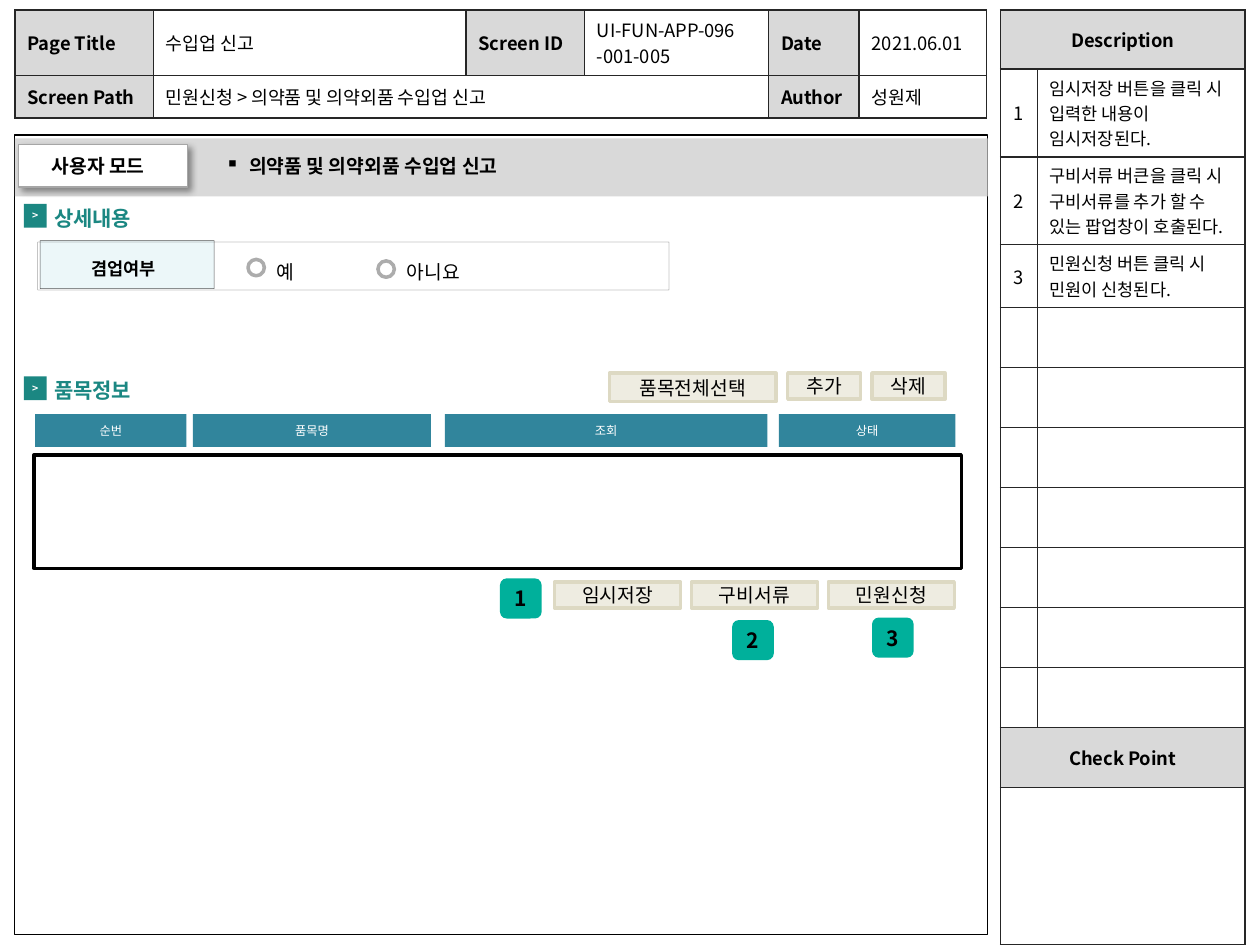
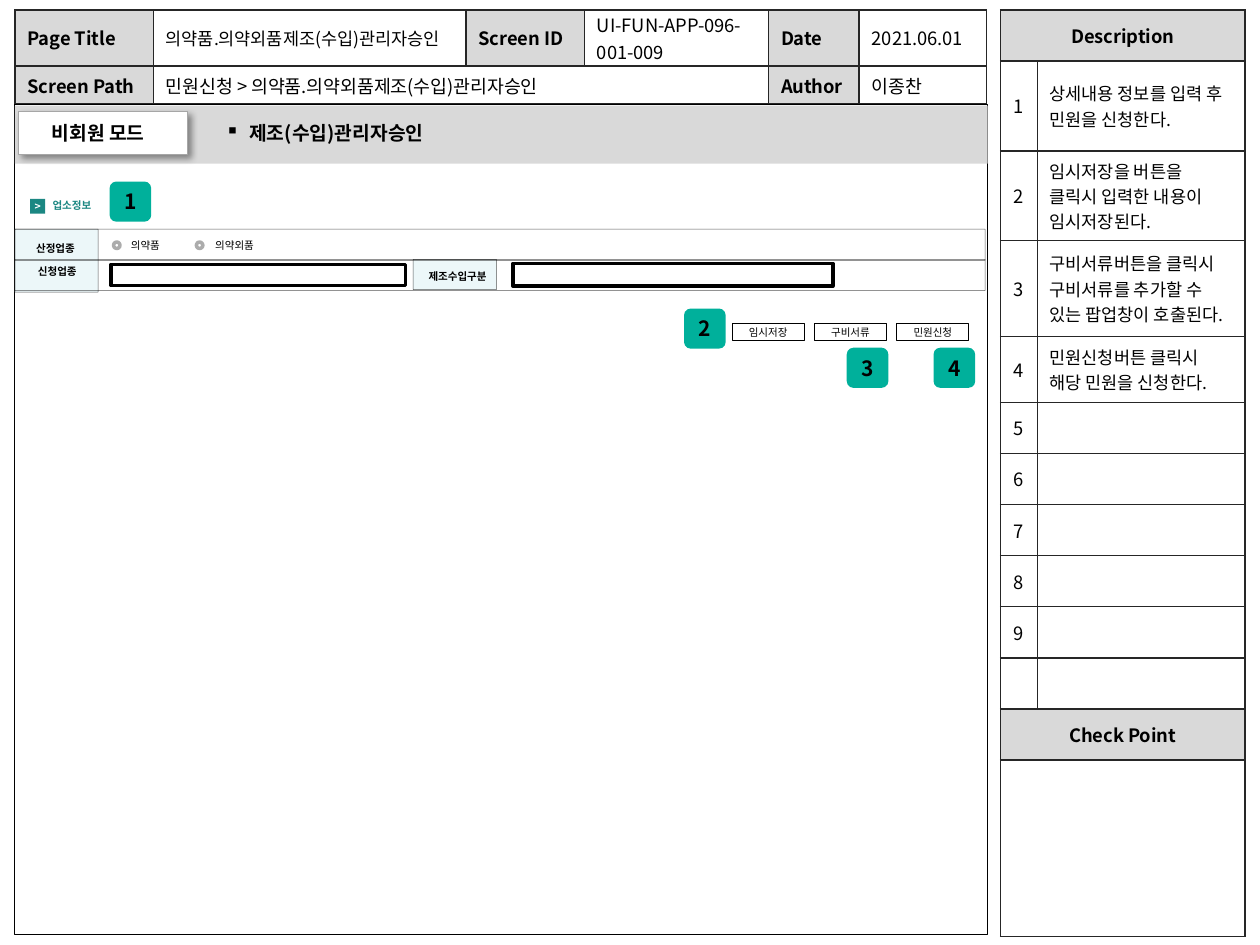
"""Build two screen-specification slides for an import business filing system."""
import pptx
import pptx.dml.color
import pptx.enum.shapes
import pptx.enum.text
import pptx.oxml
import pptx.oxml.ns
import pptx.util
import lxml.etree

Cm = pptx.util.Cm
Pt = pptx.util.Pt
SHAPE = pptx.enum.shapes.MSO_SHAPE
ANCHOR = pptx.enum.text.MSO_ANCHOR
ALIGN = pptx.enum.text.PP_ALIGN
qn = pptx.oxml.ns.qn

FONT = "Noto Sans CJK KR"
BLACK, WHITE, GREY, BORDER = "000000", "FFFFFF", "D9D9D9", "262626"
TEAL, BADGE, LABEL, RADIO = "1B8782", "00B09B", "ECF7F9", "A6A6A6"
BUTTON, BUTTON_EDGE, COLUMN = "EEECE1", "DDD9C3", "31859C"


def write(frame, text, size, bold=False, colour=BLACK, align=ALIGN.LEFT):
    """Fill a text frame and format its runs."""
    frame.text = text
    frame.word_wrap = True
    for para in frame.paragraphs:
        para.alignment = align
        for span in para.runs:
            span.font.size = Pt(size)
            span.font.bold = bold
            span.font.name = FONT
            span.font.color.rgb = pptx.dml.color.RGBColor.from_string(colour)
            asian = lxml.etree.SubElement(span.font._element, qn("a:ea"))
            asian.set("typeface", FONT)


def draw(page, kind, left, top, width, height, fill=None, line=None, weight=0.75,
         alpha=100, text="", size=11, bold=False, colour=BLACK):
    """Add a preset shape with optional fill, outline and centred text."""
    shape = page.shapes.add_shape(kind, Cm(left), Cm(top), Cm(width), Cm(height))
    shape.shadow.inherit = False
    if fill:
        shape.fill.solid()
        shape.fill.fore_color.rgb = pptx.dml.color.RGBColor.from_string(fill)
    else:
        shape.fill.background()
    if line:
        shape.line.color.rgb = pptx.dml.color.RGBColor.from_string(line)
        shape.line.width = Pt(weight)
        if alpha < 100:
            tint = shape.line._ln.find(".//" + qn("a:srgbClr"))
            lxml.etree.SubElement(tint, qn("a:alpha")).set("val", str(alpha * 1000))
    else:
        shape.line.fill.background()
    if text:
        frame = shape.text_frame
        frame.margin_left = frame.margin_right = frame.margin_top = frame.margin_bottom = 0
        frame.vertical_anchor = ANCHOR.MIDDLE
        write(frame, text, size, bold, colour, ALIGN.CENTER)
    return shape


deck = pptx.Presentation()
deck.slide_width, deck.slide_height = Cm(25.4), Cm(19.05)

screens = [
    {
        "header": [
            ["Page Title", "수입업 신고", "Screen ID", "UI-FUN-APP-096\n-001-005", "Date", "2021.06.01"],
            ["Screen Path", "민원신청 > 의약품 및 의약외품 수입업 신고", "", "", "Author", "성원제"],
        ],
        "header_rows": [1.32, 0.86],
        "title_size": 10.5,
        "notes": [
            ("1", "임시저장 버튼을 클릭 시 입력한 내용이 임시저장된다."),
            ("2", "구비서류 버큰을 클릭 시 구비서류를 추가 할 수 있는 팝업창이 호출된다."),
            ("3", "민원신청 버튼 클릭 시 민원이 신청된다."),
        ] + [("", "")] * 7,
        "note_rows": [1.19, 1.77, 1.77, 1.27] + [1.21] * 8 + [3.17],
        "frame_top": 2.72,
        "band_top": 2.79,
        "mode": "사용자 모드",
        "title": "의약품 및 의약외품 수입업 신고",
        "badges": [(10.08, 11.66), (14.76, 12.5), (17.58, 12.45)],
    },
    {
        "header": [
            ["Page Title", "의약품.의약외품제조(수입)관리자승인", "Screen ID", "UI-FUN-APP-096-001-009", "Date", "2021.06.01"],
            ["Screen Path", "민원신청 > 의약품.의약외품제조(수입)관리자승인", "", "", "Author", "이종찬"],
        ],
        "header_rows": [1.13, 0.77],
        "title_size": 10,
        "notes": [
            ("1", "상세내용 정보를 입력 후 민원을 신청한다."),
            ("2", "임시저장을 버튼을 클릭시 입력한 내용이 임시저장된다."),
            ("3", "구비서류버튼을 클릭시 구비서류를 추가할 수 있는 팝업창이 호출된다."),
            ("4", "민원신청버튼 클릭시 해당 민원을 신청한다."),
        ] + [(str(number), "") for number in range(5, 10)] + [("", "")],
        "note_rows": [1.03, 1.81, 1.81, 1.93, 1.33] + [1.03] * 7 + [3.56],
        "frame_top": 2.11,
        "band_top": 2.13,
        "mode": "비회원 모드",
        "title": "제조(수입)관리자승인",
        "badges": [(2.21, 3.66), (13.79, 6.22), (17.07, 7.01), (18.82, 7.01)],
    },
]

pages = []
for screen in screens:
    page = deck.slides.add_slide(deck.slide_layouts[5])
    pages.append(page)

    note_cells = [("Description", "")] + screen["notes"] + [("Check Point", ""), ("", "")]
    grids = [
        (0.3, 0.2, [2.79, 6.3, 2.39, 3.71, 1.83, 2.57], screen["header_rows"], screen["header"]),
        (20.17, 0.2, [0.74, 4.19], screen["note_rows"], note_cells),
    ]
    for left, top, columns, rows, cells in grids:
        is_header = len(columns) == 6
        table = page.shapes.add_table(len(rows), len(columns), Cm(left), Cm(top),
                                      Cm(sum(columns)), Cm(sum(rows))).table
        for index, width in enumerate(columns):
            table.columns[index].width = Cm(width)
        for index, height in enumerate(rows):
            table.rows[index].height = Cm(height)
        if is_header:
            table.cell(1, 1).merge(table.cell(1, 3))
        else:
            for row in (0, len(rows) - 2, len(rows) - 1):
                table.cell(row, 0).merge(table.cell(row, 1))
        for row, texts in enumerate(cells):
            for column, text in enumerate(texts):
                cell = table.cell(row, column)
                cell.vertical_anchor = ANCHOR.MIDDLE
                cell.margin_top = cell.margin_bottom = 0
                for side in ("lnL", "lnR", "lnT", "lnB"):
                    edge = lxml.etree.SubElement(cell._tc.get_or_add_tcPr(), qn("a:" + side), w=str(Pt(1)))
                    paint = lxml.etree.SubElement(edge, qn("a:solidFill"))
                    lxml.etree.SubElement(paint, qn("a:srgbClr"), val=BORDER)
                if is_header:
                    heading = column % 2 == 0 and text != ""
                    size = screen["title_size"] if (row, column) == (0, 1) else 10.5
                else:
                    heading = text in ("Description", "Check Point")
                    size = 10 if column == 1 else 10.5
                if heading:
                    cell.fill.solid()
                    cell.fill.fore_color.rgb = pptx.dml.color.RGBColor.from_string(GREY)
                else:
                    cell.fill.background()
                if text:
                    centred = heading and not is_header
                    write(cell.text_frame, text, size, heading,
                          align=ALIGN.CENTER if centred else ALIGN.LEFT)

    draw(page, SHAPE.RECTANGLE, 0.3, screen["frame_top"], 19.61, 18.84 - screen["frame_top"], line=BLACK)
    band_top = screen["band_top"]
    band = draw(page, SHAPE.RECTANGLE, 0.3, band_top, 19.61, 1.17, GREY)

    title = page.shapes.title
    band.element.addnext(title.element)
    title.left, title.top, title.width, title.height = Cm(4.29), Cm(band_top + 0.19), Cm(9.2), Cm(0.74)
    title.text_frame.auto_size = pptx.enum.text.MSO_AUTO_SIZE.NONE
    title.text_frame.vertical_anchor = ANCHOR.TOP
    write(title.text_frame, screen["title"], 11, True)
    layout = title.text_frame.paragraphs[0]._p.get_or_add_pPr()
    layout.set("marL", str(Cm(0.48)))
    layout.set("indent", str(-Cm(0.48)))
    lxml.etree.SubElement(layout, qn("a:buChar")).set("char", "▪")

    mode = draw(page, SHAPE.RECTANGLE, 0.38, band_top + 0.12, 3.4, 0.86, WHITE, RADIO)
    effects = mode.element.spPr.find(qn("a:effectLst"))
    shadow = lxml.etree.SubElement(effects, qn("a:outerShdw"), blurRad=str(Pt(4)), dist=str(Pt(3)),
                                   dir="2700000", algn="tl", rotWithShape="0")
    tint = lxml.etree.SubElement(shadow, qn("a:srgbClr"), val=BLACK)
    lxml.etree.SubElement(tint, qn("a:alpha"), val="40000")
    box = page.shapes.add_textbox(Cm(0.79), Cm(band_top + 0.19), Cm(2.8), Cm(0.74))
    write(box.text_frame, screen["mode"], 11, True)

filing, approval = pages

for top in (4.11, 7.59):
    draw(filing, SHAPE.RECTANGLE, 0.48, top, 0.46, 0.48, TEAL, text=">", size=6, bold=True, colour=WHITE)
draw(filing, SHAPE.RECTANGLE, 0.81, 4.85, 3.51, 0.97, LABEL, BLACK, 0.25, 65)
draw(filing, SHAPE.RECTANGLE, 0.76, 4.88, 12.73, 0.97, line=BLACK, weight=0.1, alpha=65)
for left, top in ((5, 5.23), (7.62, 5.26)):
    draw(filing, SHAPE.OVAL, left, top, 0.33, 0.33, line=RADIO, weight=2, alpha=93)

buttons = [("품목전체선택", 12.29, 7.52, 3.35, 0.58), ("추가", 15.88, 7.52, 1.47, 0.53),
           ("삭제", 17.58, 7.52, 1.47, 0.53)]
actions = ["임시저장", "구비서류", "민원신청"]
for index, action in enumerate(actions):
    buttons.append((action, 11.18 + 2.76 * index, 11.73, 2.54, 0.53))
    draw(approval, SHAPE.RECTANGLE, 14.76 + 1.66 * index, 6.53, 1.45, 0.33,
         WHITE, BLACK, 0.5, text=action, size=6)
for text, left, top, width, height in buttons:
    draw(filing, SHAPE.RECTANGLE, left, top, width, height, BUTTON, BUTTON_EDGE, 2, text=text)

for text, left, width in (("순번", 0.71, 3.05), ("품목명", 3.89, 4.8), ("조회", 8.97, 6.5), ("상태", 15.7, 3.56)):
    draw(filing, SHAPE.RECTANGLE, left, 8.35, width, 0.66, COLUMN, text=text, size=7, colour=WHITE)
draw(filing, SHAPE.RECTANGLE, 0.69, 9.17, 18.69, 2.29, WHITE, BLACK, 2)

draw(approval, SHAPE.RECTANGLE, 0.61, 4.01, 0.3, 0.3, TEAL, text=">", size=6, bold=True, colour=WHITE)
for left, top, width, height in ((0.3, 4.62, 1.68, 1.27), (8.33, 5.23, 1.68, 0.61)):
    draw(approval, SHAPE.RECTANGLE, left, top, width, height, LABEL, BLACK, 0.25, 65)
for top in (4.62, 5.23):
    draw(approval, SHAPE.RECTANGLE, 0.3, top, 19.56, 0.63, line=BLACK, weight=0.25, alpha=65)
for left, top, width, height in ((2.24, 5.33, 5.94, 0.43), (10.34, 5.31, 6.45, 0.46)):
    draw(approval, SHAPE.RECTANGLE, left, top, width, height, line=BLACK, weight=2)
for left in (2.29, 3.96):
    draw(approval, SHAPE.OVAL, left, 4.88, 0.13, 0.13, line=RADIO, weight=2, alpha=93)

captions = [
    (filing, "상세내용", 0.84, 4.01, 8.28, 0.76, 12, True, TEAL, ALIGN.LEFT),
    (filing, "품목정보", 0.84, 7.49, 8.28, 0.76, 12, True, TEAL, ALIGN.LEFT),
    (filing, "겸업여부", 0.71, 5.08, 3.56, 0.69, 10, True, BLACK, ALIGN.CENTER),
    (filing, "예", 5.33, 5.13, 2.2, 0.74, 11, False, BLACK, ALIGN.LEFT),
    (filing, "아니요", 7.95, 5.13, 3.35, 0.74, 11, False, BLACK, ALIGN.LEFT),
    (approval, "업소정보", 0.81, 3.89, 3.58, 0.51, 6, True, TEAL, ALIGN.LEFT),
    (approval, "산정업종", 0.48, 4.75, 1.5, 0.51, 6, True, BLACK, ALIGN.LEFT),
    (approval, "신청업종", 0.33, 5.21, 1.65, 0.51, 6, True, BLACK, ALIGN.CENTER),
    (approval, "제조수입구분", 8.31, 5.31, 1.83, 0.51, 6, True, BLACK, ALIGN.CENTER),
    (approval, "의약품", 2.39, 4.7, 1.65, 0.51, 6, False, BLACK, ALIGN.LEFT),
    (approval, "의약외품", 4.09, 4.7, 1.65, 0.51, 6, False, BLACK, ALIGN.LEFT),
]
for page, text, left, top, width, height, size, bold, colour, align in captions:
    box = page.shapes.add_textbox(Cm(left), Cm(top), Cm(width), Cm(height))
    write(box.text_frame, text, size, bold, colour, align)

for page, screen in zip(pages, screens):
    for number, (left, top) in enumerate(screen["badges"], 1):
        draw(page, SHAPE.ROUNDED_RECTANGLE, left, top, 0.84, 0.81, BADGE, text=str(number), size=12, bold=True)

deck.save("out.pptx")
